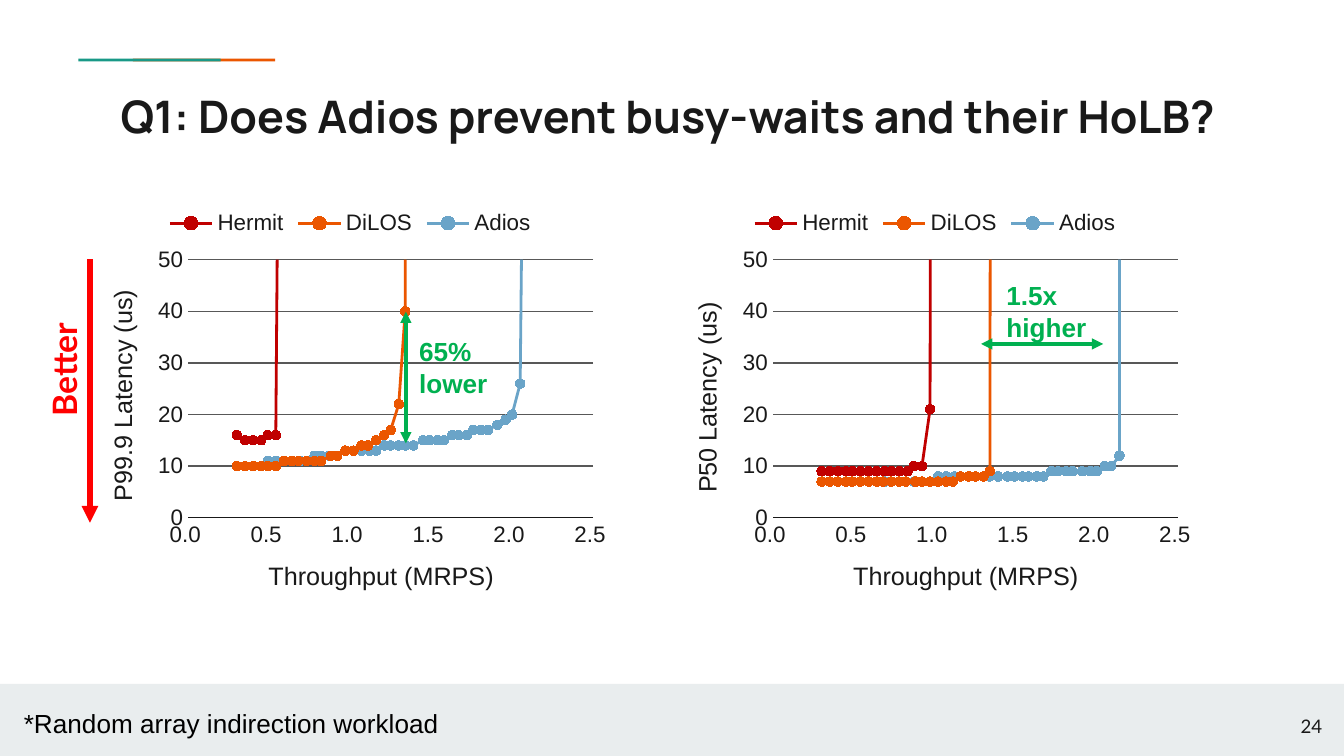
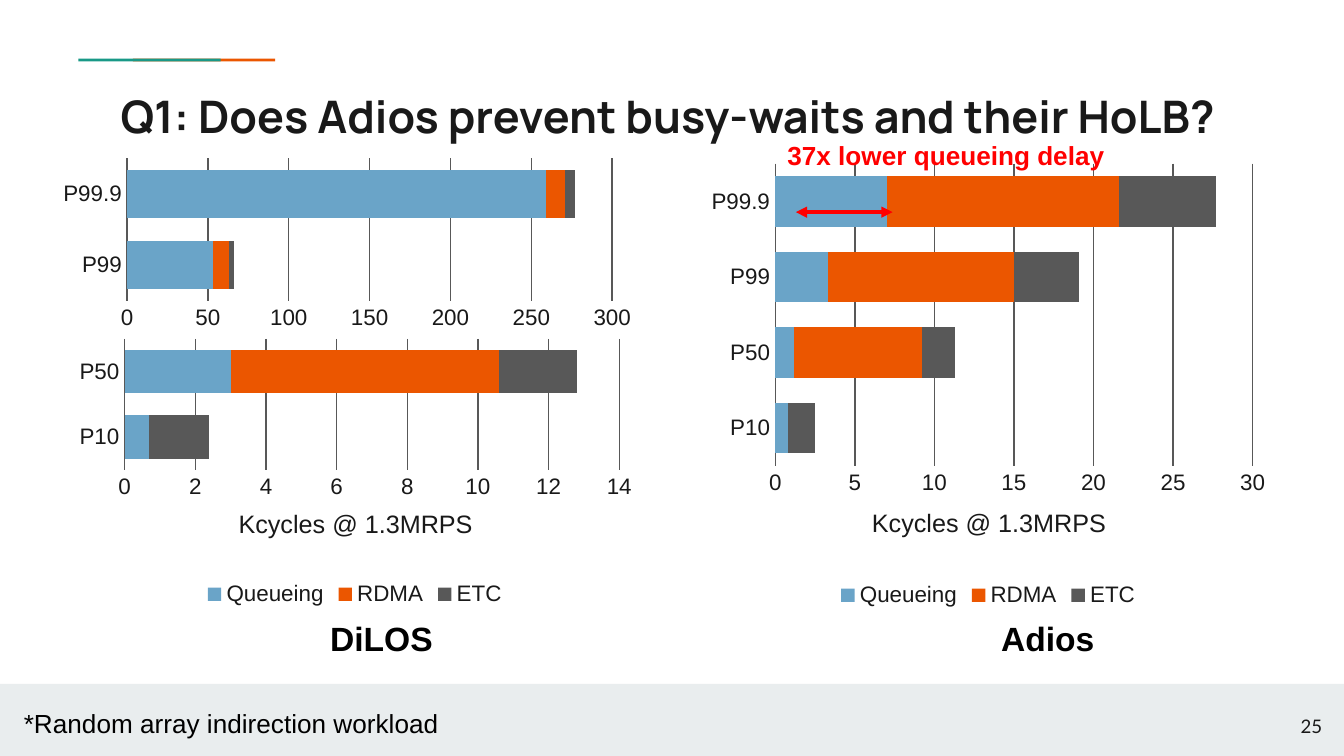
"""Builds two slides of latency charts comparing Adios with other systems."""
from dataclasses import dataclass

from pptx import Presentation
from pptx.chart.data import CategoryChartData, XyChartData
from pptx.dml.color import RGBColor
from pptx.enum.chart import (XL_CHART_TYPE, XL_LEGEND_POSITION, XL_MARKER_STYLE,
                             XL_TICK_MARK)
from pptx.enum.shapes import MSO_CONNECTOR, MSO_SHAPE
from pptx.enum.text import MSO_ANCHOR, PP_ALIGN
from pptx.oxml import parse_xml
from pptx.oxml.ns import nsdecls, qn
from pptx.util import Cm, Pt


@dataclass(frozen=True)
class Theme:
    ink: str = "191919"
    black: str = "000000"
    gray: str = "585858"
    band: str = "E9EDEE"
    teal: str = "199987"
    orange: str = "EB5600"
    blue: str = "6AA4C8"
    crimson: str = "C00000"
    red: str = "FF0000"
    green: str = "00B050"
    body_font: str = "Arial"
    title_font: str = "Manrope"
    small_font: str = "Lato"
    title_size: float = 24
    label_size: float = 18
    note_size: float = 14
    axis_title_size: float = 13.5
    chart_size: float = 12
    number_size: float = 10


THEME = Theme()
TITLE = "Q1: Does Adios prevent busy-waits and their HoLB?"
NOTE = "*Random array indirection workload"
SYSTEM_COLORS = {"Hermit": THEME.crimson, "DiLOS": THEME.orange, "Adios": THEME.blue}
STAGE_COLORS = {"Queueing": THEME.blue, "RDMA": THEME.orange, "ETC": THEME.gray}

OVERLOAD = 1000
SKIPPED = 4
SAMPLES = 46
START = [0.3, 0.35, 0.4, 0.45, 0.49, 0.54, 0.59, 0.64]
THROUGHPUT = {
    "Hermit": START + [0.69, 0.73, 0.78, 0.83, 0.87, 0.92, 0.97] + [1.01] * 10,
    "DiLOS": START + [0.68, 0.73, 0.78, 0.82, 0.88, 0.92, 0.97, 1.02, 1.07, 1.11,
                      1.16, 1.21, 1.25, 1.3, 1.34, 1.38]
    + [1.36] * 4 + [1.35] * 5 + [1.34] * 2,
    "Adios": START + [0.69, 0.73, 0.78, 0.82, 0.87, 0.92, 0.97, 1.02, 1.07, 1.12,
                      1.16, 1.21, 1.25, 1.3, 1.34, 1.39, 1.45, 1.49, 1.54, 1.58,
                      1.63, 1.67, 1.72, 1.76, 1.81, 1.85, 1.91, 1.96, 2, 2.05,
                      2.09, 2.14, 2.14, 2.12],
}
P999_LATENCY = {
    "Hermit": [16, 15, 15, 15, 16, 16, 213, 86, 466] + [OVERLOAD] * 16,
    "DiLOS": [10] * 6 + [11] * 6 + [12, 12, 13, 13, 14, 14, 15, 16, 17, 22, 40]
    + [OVERLOAD] * 12,
    "Adios": [10] * 4 + [11] * 6 + [12] * 4 + [13] * 5 + [14] * 5 + [15] * 4
    + [16] * 3 + [17] * 3 + [18, 19, 20, 26, 149, 423] + [OVERLOAD] * 2,
}
P50_LATENCY = {
    "Hermit": [9] * 12 + [10, 10, 21] + [OVERLOAD] * 10,
    "DiLOS": [7] * 18 + [8] * 4 + [9] + [OVERLOAD] * 12,
    "Adios": [7] * 15 + [8] * 15 + [9] * 7 + [10, 10, 12] + [OVERLOAD] * 2,
}


def padded(values):
    """Fill the skipped and the missing samples with None."""
    return [None] * SKIPPED + values + [None] * (SAMPLES - SKIPPED - len(values))


def place(element, index, left, top, width=None, height=None):
    """Give a chart part a fixed place, in fractions of the chart."""
    for old in element.findall(qn("c:layout")):
        element.remove(old)
    target = '<c:layoutTarget val="inner"/>' if width else ""
    modes = '<c:xMode val="edge"/><c:yMode val="edge"/>'
    sides = {"x": left, "y": top, "w": width, "h": height}
    values = "".join(f'<c:{side} val="{value}"/>'
                     for side, value in sides.items() if value is not None)
    element.insert(index, parse_xml(
        f'<c:layout {nsdecls("c")}><c:manualLayout>{target}{modes}{values}'
        "</c:manualLayout></c:layout>"))


class SlideBuilder:
    """Holds the theme and the current page, and draws each kind of element."""

    def __init__(self, deck, theme):
        self.deck = deck
        self.theme = theme
        self.page = None

    def start_page(self, number):
        """Add a page with its accent lines, footer band, title and number."""
        theme = self.theme
        self.page = self.deck.slides.add_slide(self.deck.slide_layouts[6])
        self.bar(2.51, 1.11, 2.69, 0.05, theme.orange)
        self.bar(1.48, 1.11, 2.69, 0.05, theme.teal)
        self.bar(0, 12.93, 25.4, 1.36, theme.band)
        self.text([TITLE], 2.03, 1.42, 22.8, 1.5, theme.title_size, theme.ink,
                  bold=True, font=theme.title_font, inset=0.25)
        page_number = self.text([str(number)], 23.72, 13.18, 1.52, 1.09,
                                theme.number_size, theme.ink,
                                font=theme.small_font, inset=0.25)
        page_number.text_frame.vertical_anchor = MSO_ANCHOR.MIDDLE
        page_number.text_frame.paragraphs[0].alignment = PP_ALIGN.RIGHT

    def bar(self, left, top, width, height, color):
        """Draw a plain filled rectangle."""
        box = self.page.shapes.add_shape(MSO_SHAPE.RECTANGLE, Cm(left), Cm(top),
                                         Cm(width), Cm(height))
        box.shadow.inherit = False
        box.fill.solid()
        box.fill.fore_color.rgb = RGBColor.from_string(color)
        box.line.fill.background()

    def style_font(self, font, size, color, bold=False, name=None):
        """Set the face, size, weight and colour of a font."""
        font.name = name or self.theme.body_font
        font.size = Pt(size)
        font.bold = bold
        font.color.rgb = RGBColor.from_string(color)

    def text(self, lines, left, top, width, height, size, color, bold=False,
             font=None, inset=None):
        """Write one paragraph for each line; an inset also turns wrapping on."""
        box = self.page.shapes.add_textbox(Cm(left), Cm(top), Cm(width), Cm(height))
        frame = box.text_frame
        frame.word_wrap = inset is not None
        if inset is not None:
            frame.margin_left = frame.margin_right = Cm(inset)
            frame.margin_top = frame.margin_bottom = Cm(inset)
        frame.text = "\n".join(lines)
        for para in frame.paragraphs:
            self.style_font(para.font, size, color, bold, font)
        return box

    def label(self, lines, left, top, width, color):
        """Write a bold remark beside an arrow."""
        self.text(lines, left, top, width, 1.5, self.theme.note_size, color, True)

    def caption(self, name, left, width):
        """Write the name of a system under its chart."""
        self.text([name], left, 11.56, width, 1.02, self.theme.label_size,
                  self.theme.black, True)

    def note(self):
        """Write the workload note in the footer band."""
        self.text([NOTE], 0.2, 13.24, 8.38, 0.86, self.theme.note_size,
                  self.theme.black)

    def arrow(self, start, end, color, width=2, both=True):
        """Draw a straight arrow with a head at one end or at both."""
        line = self.page.shapes.add_connector(
            MSO_CONNECTOR.STRAIGHT, *(Cm(value) for value in (*start, *end)))
        line.line.width = Pt(width)
        line.line.color.rgb = RGBColor.from_string(color)
        properties = line._element.spPr
        outline = properties.find(qn("a:ln"))
        for tag in ("headEnd", "tailEnd") if both else ("tailEnd",):
            outline.append(parse_xml(f'<a:{tag} {nsdecls("a")} type="triangle"/>'))
        properties.append(parse_xml(f'<a:effectLst {nsdecls("a")}/>'))

    def chart(self, kind, data, frame, plot_area, legend=None):
        """Add a chart with the shared font, axes and grid."""
        theme = self.theme
        chart = self.page.shapes.add_chart(
            kind, *(Cm(value) for value in frame), data).chart
        self.style_font(chart.font, theme.chart_size, theme.ink)
        chart.has_title = False
        chart.has_legend = legend is not None
        if legend is not None:
            chart.legend.position = legend
            chart.legend.include_in_layout = False
            self.style_font(chart.legend.font, theme.chart_size, theme.ink)
        for axis in (chart.category_axis, chart.value_axis):
            axis.major_tick_mark = axis.minor_tick_mark = XL_TICK_MARK.NONE
            self.style_font(axis.tick_labels.font, theme.chart_size, theme.ink)
        chart.category_axis.has_major_gridlines = False
        chart.value_axis.has_major_gridlines = True
        chart.value_axis.format.line.fill.background()
        for line in (chart.value_axis.major_gridlines.format.line,
                     chart.category_axis.format.line):
            line.width = Pt(0.75)
            line.color.rgb = RGBColor.from_string(theme.gray)
        chart.plots[0].vary_by_categories = False
        place(chart._chartSpace.chart.plotArea, 0, *plot_area)
        return chart

    def axis_title(self, axis, words, left, top, upright=False):
        """Write an axis title at a fixed place in the chart."""
        frame = axis.axis_title.text_frame
        frame.text = words
        self.style_font(frame.paragraphs[0].font, self.theme.axis_title_size,
                        self.theme.ink)
        if upright:
            body = frame._txBody.find(qn("a:bodyPr"))
            body.set("rot", "-5400000")
            body.set("vert", "horz")
        place(axis.axis_title._element, 1, left, top)

    def scale(self, axis, maximum, step):
        """Run an axis from zero to a maximum in equal steps."""
        axis.minimum_scale = 0
        axis.maximum_scale = maximum
        axis.major_unit = step

    def latency_chart(self, left, percentile, latency, title_top):
        """Plot latency against throughput for each system."""
        data = XyChartData()
        for name, values in latency.items():
            series = data.add_series(name)
            for point in zip(padded(THROUGHPUT[name]), padded(values)):
                series.add_data_point(*point)
        chart = self.chart(XL_CHART_TYPE.XY_SCATTER_LINES, data,
                           (left, 3.71, 10.2, 8), (0.2, 0.15, 0.75, 0.61),
                           XL_LEGEND_POSITION.TOP)
        for point in list(chart._chartSpace.iter(qn("c:pt"))):
            if point.findtext(qn("c:v")) in ("None", "", None):
                point.getparent().remove(point)
        across, upward = chart.category_axis, chart.value_axis
        self.scale(across, 2.5, 0.5)
        self.scale(upward, 50, 10)
        across.tick_labels.number_format = "0.0_ "
        across.tick_labels.number_format_is_linked = False
        across.format.line.color.rgb = RGBColor.from_string(self.theme.ink)
        self.axis_title(across, "Throughput (MRPS)", 0.34, 0.85)
        self.axis_title(upward, f"{percentile} Latency (us)", 0.04, title_top, True)
        for series in chart.plots[0].series:
            color = RGBColor.from_string(SYSTEM_COLORS[series.name])
            series.smooth = False
            series.format.line.width = Pt(1.5)
            series.format.line.color.rgb = color
            series.marker.style = XL_MARKER_STYLE.CIRCLE
            series.marker.size = 5
            series.marker.format.fill.solid()
            series.marker.format.fill.fore_color.rgb = color
            series.marker.format.line.color.rgb = color

    def cycles_chart(self, frame, plot_area, maximum, step, percentiles, cycles,
                     title_place=None):
        """Stack the cycles of each stage; a title place also adds the legend."""
        data = CategoryChartData()
        data.categories = percentiles
        for name, values in zip(STAGE_COLORS, cycles):
            data.add_series(name, values)
        legend = XL_LEGEND_POSITION.BOTTOM if title_place else None
        chart = self.chart(XL_CHART_TYPE.BAR_STACKED, data, frame, plot_area, legend)
        self.scale(chart.value_axis, maximum, step)
        if title_place:
            self.axis_title(chart.value_axis, "Kcycles @ 1.3MRPS", *title_place)
        plot = chart.plots[0]
        plot.gap_width = 50
        plot.overlap = 100
        for series in plot.series:
            series.format.fill.solid()
            series.format.fill.fore_color.rgb = RGBColor.from_string(
                STAGE_COLORS[series.name])


def latency_slide(builder):
    """Show latency curves at two percentiles."""
    theme = builder.theme
    builder.start_page(24)
    builder.latency_chart(1.52, "P99.9", P999_LATENCY, 0.21)
    builder.latency_chart(12.57, "P50", P50_LATENCY, 0.24)
    builder.note()
    builder.arrow((7.67, 5.89), (7.67, 8.38), theme.green)
    builder.label(["65%", "lower"], 7.67, 6.22, 2.1, theme.green)
    builder.arrow((18.54, 6.5), (20.85, 6.5), theme.green)
    builder.label(["1.5x", "higher"], 18.77, 5.16, 2.1, theme.green)
    builder.arrow((1.7, 4.9), (1.7, 9.88), theme.red, 3, both=False)
    better = builder.text(["Better"], 0.03, 6.43, 2.36, 1.02, theme.label_size,
                          theme.red, True, theme.small_font)
    better.rotation = 270


def cycles_slide(builder):
    """Show where the cycles go in each system."""
    theme = builder.theme
    builder.start_page(25)
    builder.cycles_chart((1.27, 6.3, 10.87, 5.26), (0.1, 0.02, 0.86, 0.47), 14, 2,
                         ["P10", "P50"], [(0.7, 3), (0, 7.6), (1.7, 2.2)],
                         (0.29, 0.61))
    builder.cycles_chart((0.95, 2.92, 11.18, 3.38), (0.13, 0.02, 0.82, 0.8), 300, 50,
                         ["P99", "P99.9"], [(53, 259), (10, 12), (3, 6)])
    builder.caption("DiLOS", 5.99, 2.46)
    builder.cycles_chart((13.24, 2.92, 10.87, 8.66), (0.13, 0.02, 0.83, 0.66), 30, 5,
                         ["P10", "P50", "P99", "P99.9"],
                         [(0.8, 1.2, 3.3, 7), (0, 8, 11.7, 14.6),
                          (1.7, 2.1, 4.1, 6.1)], (0.29, 0.76))
    builder.caption("Adios", 18.67, 2.29)
    builder.note()
    builder.arrow((15.04, 4.01), (16.87, 4.01), theme.red)
    builder.label(["37x lower queueing delay"], 14.63, 2.51, 6.6, theme.red)


def main():
    """Build and save the deck."""
    deck = Presentation()
    deck.slide_width, deck.slide_height = Cm(25.4), Cm(14.29)
    builder = SlideBuilder(deck, THEME)
    latency_slide(builder)
    cycles_slide(builder)
    deck.save("out.pptx")


if __name__ == "__main__":
    main()
